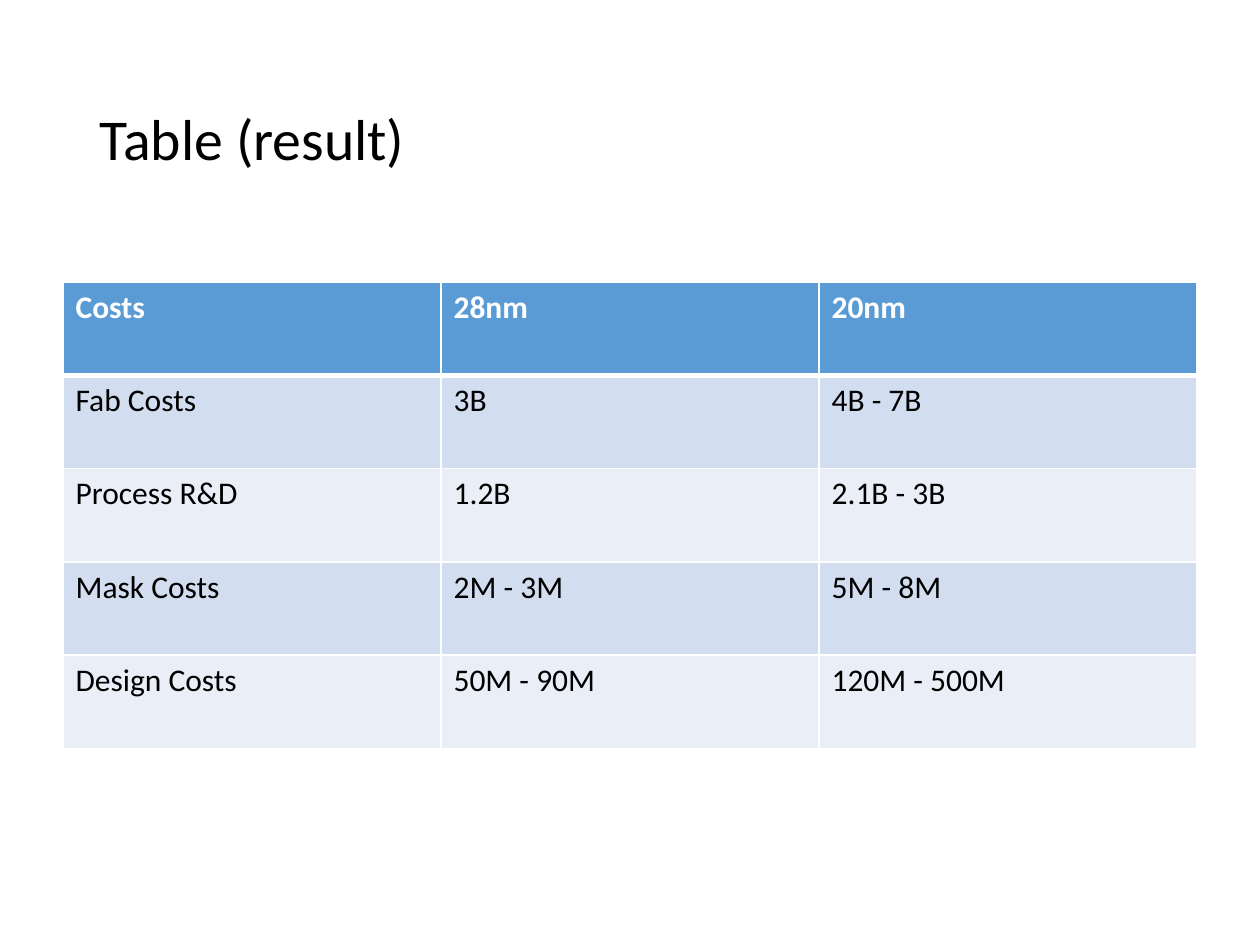
from dataclasses import dataclass

from lxml.etree import SubElement
from pptx import Presentation
from pptx.dml.color import RGBColor
from pptx.enum.text import MSO_ANCHOR, PP_ALIGN
from pptx.oxml.ns import qn
from pptx.util import Inches, Pt

COLORS = {"header": "5B9BD5", "odd": "D2DEEF", "even": "EAEFF7",
          "text": "000000", "white": "FFFFFF"}
WIDTH, HEIGHT = Inches(10), Inches(7.5)
ROW_HEIGHT = Inches(0.74)
COSTS = [
    ("Costs", "28nm", "20nm"),
    ("Fab Costs", "3B", "4B - 7B"),
    ("Process R&D", "1.2B", "2.1B - 3B"),
    ("Mask Costs", "2M - 3M", "5M - 8M"),
    ("Design Costs", "50M - 90M", "120M - 500M"),
]


@dataclass(frozen=True)
class RowStyle:
    fill: str
    color: str = "text"
    bold: bool = False
    top: float = 1
    bottom: float = 1


def row_style(row: int) -> RowStyle:
    if row == 0:
        return RowStyle("header", "white", bold=True, bottom=3)
    return RowStyle("odd" if row % 2 else "even", top=3 if row == 1 else 1)


def write(tf, text: str, color: str, **font_values) -> None:
    p = tf.paragraphs[0]
    p.alignment = PP_ALIGN.LEFT
    r = p.add_run()
    r.text = text
    for name, value in {"name": "Calibri", **font_values}.items():
        setattr(r.font, name, value)
    r.font.color.rgb = RGBColor.from_string(COLORS[color])


def add_borders(cell, style: RowStyle) -> None:
    """Draw white cell borders; the schema wants them ahead of the fill."""
    tc_pr = cell._tc.get_or_add_tcPr()
    sides = {"L": 1, "R": 1, "T": style.top, "B": style.bottom}
    for i, (side, width) in enumerate(sides.items()):
        ln = SubElement(tc_pr, qn(f"a:ln{side}"), w=str(Pt(width)))
        SubElement(SubElement(ln, qn("a:solidFill")), qn("a:srgbClr"), val=COLORS["white"])
        tc_pr.insert(i, ln)


def add_title(s, text: str) -> None:
    title = s.shapes.title
    box = {"left": 0.069 * WIDTH, "top": 0.053 * HEIGHT,
           "width": 0.862 * WIDTH, "height": 0.193 * HEIGHT}
    for name, value in box.items():
        setattr(title, name, int(value))
    tf = title.text_frame
    tf.vertical_anchor = MSO_ANCHOR.MIDDLE
    write(tf, text, "text", size=Pt(33))
    tf.paragraphs[0].line_spacing = 0.9


def add_cost_table(s, rows: list[tuple[str, ...]]) -> None:
    table = s.shapes.add_table(
        len(rows), len(rows[0]), int(0.05 * WIDTH), Inches(2.24),
        int(0.9 * WIDTH), ROW_HEIGHT * len(rows)).table
    for i, values in enumerate(rows):
        style = row_style(i)
        for j, text in enumerate(values):
            cell = table.cell(i, j)
            cell.fill.solid()
            cell.fill.fore_color.rgb = RGBColor.from_string(COLORS[style.fill])
            add_borders(cell, style)
            write(cell.text_frame, text, style.color, size=Pt(18), bold=style.bold)


def main() -> None:
    prs = Presentation()
    prs.slide_width, prs.slide_height = WIDTH, HEIGHT
    s = prs.slides.add_slide(prs.slide_layouts.get_by_name("Title Only"))
    add_title(s, "Table (result)")
    add_cost_table(s, COSTS)
    prs.save("out.pptx")


if __name__ == "__main__":
    main()
